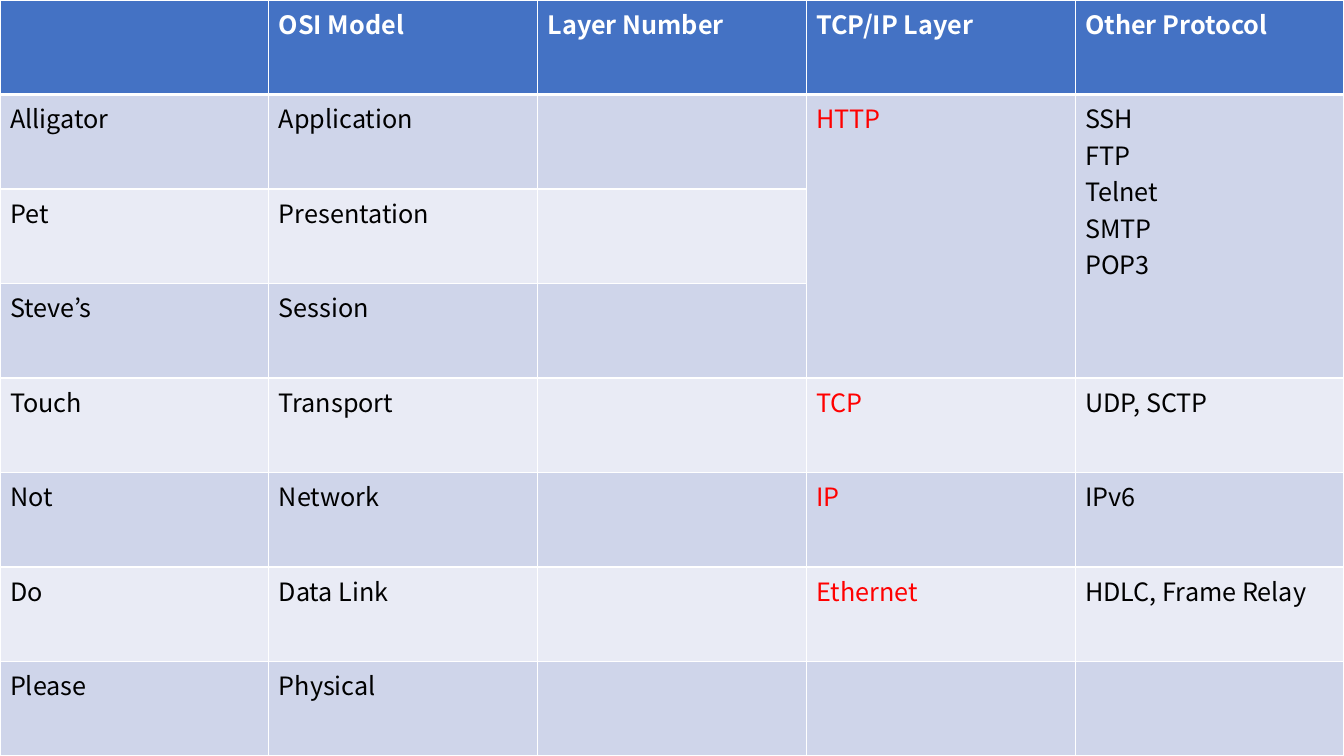
from dataclasses import dataclass

from lxml import etree
from pptx import Presentation
from pptx import util as u
from pptx.dml.color import RGBColor
from pptx.oxml.ns import qn
from pptx.table import Table, _Cell

COLORS = {
    "header": "4472C4",
    "odd": "CFD5EA",
    "even": "E9EBF5",
    "border": "FFFFFF",
    "heading": "FFFFFF",
    "body": "000000",
    "tcp_ip": "FF0000",
}
FONT = "Noto Sans CJK KR"
WIDTH, HEIGHT = u.Inches(13.33), u.Inches(7.5)
TCP_IP_COLUMN, PROTOCOL_COLUMN = 3, 4
HEADINGS = ("", "OSI Model", "Layer Number", "TCP/IP Layer", "Other Protocol")


@dataclass
class Layer:
    mnemonic: str
    osi: str
    tcp_ip: str = ""
    protocols: str = ""

    def cells(self) -> tuple[str, ...]:
        return self.mnemonic, self.osi, "", self.tcp_ip, self.protocols


LAYERS = [
    Layer("Alligator", "Application", "HTTP", "SSH\nFTP\nTelnet\nSMTP\nPOP3"),
    Layer("Pet", "Presentation"),
    Layer("Steve’s", "Session"),
    Layer("Touch", "Transport", "TCP", "UDP, SCTP"),
    Layer("Not", "Network", "IP", "IPv6"),
    Layer("Do", "Data Link", "Ethernet", "HDLC, Frame Relay"),
    Layer("Please", "Physical"),
]


def draw_borders(cell: _Cell, row: int) -> None:
    widths = {"lnL": 1, "lnR": 1, "lnT": 3 if row == 1 else 1, "lnB": 3 if row == 0 else 1}
    properties = cell._tc.get_or_add_tcPr()
    for position, (side, width) in enumerate(widths.items()):
        border = etree.Element(qn(f"a:{side}"), w=str(u.Pt(width)))
        fill = etree.SubElement(border, qn("a:solidFill"))
        etree.SubElement(fill, qn("a:srgbClr"), val=COLORS["border"])
        properties.insert(position, border)


def fill_cell(cell: _Cell, content: str, row: int, column: int) -> None:
    band = "header" if row == 0 else "odd" if row % 2 else "even"
    ink = "heading" if row == 0 else "tcp_ip" if column == TCP_IP_COLUMN else "body"
    font_format = {"name": FONT, "size": u.Pt(18), "bold": row == 0}
    cell.text = content
    cell.fill.solid()
    cell.fill.fore_color.rgb = RGBColor.from_string(COLORS[band])
    draw_borders(cell, row)
    for paragraph in cell.text_frame.paragraphs:
        for font in [paragraph.font] + [run.font for run in paragraph.runs]:
            for attribute, value in font_format.items():
                setattr(font, attribute, value)
            font.color.rgb = RGBColor.from_string(COLORS[ink])


def fill_osi_table(osi_table: Table) -> None:
    for table_row in osi_table.rows:
        table_row.height = HEIGHT // len(osi_table.rows)
    for row, contents in enumerate([HEADINGS] + [layer.cells() for layer in LAYERS]):
        for column, content in enumerate(contents):
            fill_cell(osi_table.cell(row, column), content, row, column)
    for column in (TCP_IP_COLUMN, PROTOCOL_COLUMN):
        osi_table.cell(1, column).merge(osi_table.cell(3, column))


deck = Presentation()
deck.slide_width, deck.slide_height = WIDTH, HEIGHT
osi_slide = deck.slides.add_slide(deck.slide_layouts[6])
osi_frame = osi_slide.shapes.add_table(
    len(LAYERS) + 1, len(HEADINGS), u.Inches(0), u.Inches(0), WIDTH, HEIGHT
)
fill_osi_table(osi_frame.table)
deck.save("out.pptx")
